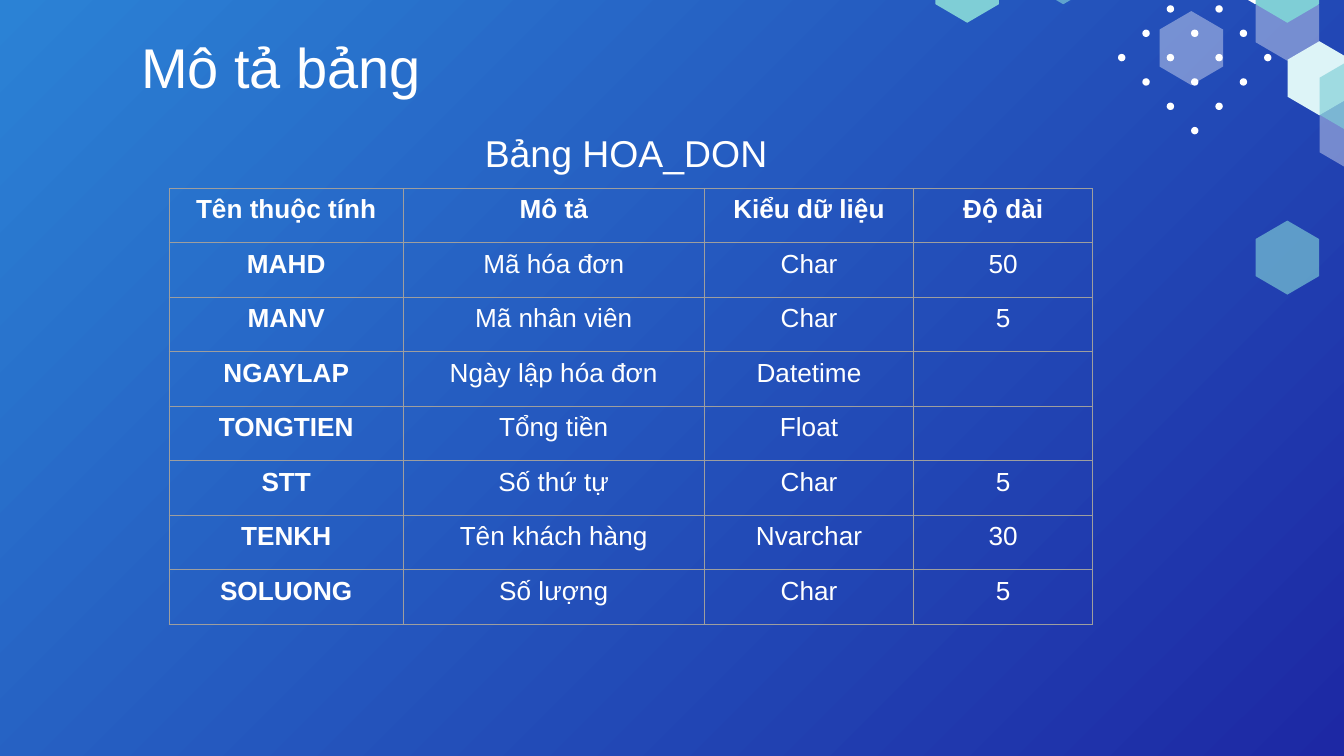
from lxml import etree
from pptx import Presentation
from pptx.dml.color import RGBColor
from pptx.enum.shapes import MSO_SHAPE
from pptx.enum.text import MSO_ANCHOR, PP_ALIGN
from pptx.oxml import parse_xml
from pptx.oxml.ns import nsdecls, qn
from pptx.util import Cm, Pt

CENTER = PP_ALIGN.CENTER
BOTTOM = MSO_ANCHOR.BOTTOM
OVAL = MSO_SHAPE.OVAL

WHITE = RGBColor(0xFF, 0xFF, 0xFF)
SKY = RGBColor(0x2B, 0x82, 0xD5)
NAVY = RGBColor(0x1D, 0x28, 0xA4)
TEAL = RGBColor(0x7F, 0xCE, 0xD6)
MIST = RGBColor(0xDD, 0xF4, 0xF7)
GREY = RGBColor(0x9E, 0x9E, 0x9E)


def write(para, text, size, bold=False):
    para.alignment = CENTER
    span = para.add_run()
    span.text = text
    span.font.color.rgb = WHITE
    for name, value in {"name": "Arial", "size": Pt(size), "bold": bold}.items():
        setattr(span.font, name, value)


def paint(shape, color, opacity=100):
    shape.shadow.inherit = False
    shape.fill.solid()
    shape.fill.fore_color.rgb = color
    shape.line.fill.background()
    if opacity < 100:
        fill_color = shape.fill._xPr.find(qn("a:solidFill"))[0]
        etree.SubElement(fill_color, qn("a:alpha"), val=str(opacity * 1000))


deck = Presentation()
deck.slide_width, deck.slide_height = Cm(25.4), Cm(14.29)
page = deck.slides.add_slide(deck.slide_layouts[6])

# Background
backdrop = page.background.fill
backdrop.gradient()
backdrop.gradient_angle = 315
for stop, color in zip(backdrop.gradient_stops, (SKY, NAVY)):
    stop.color.rgb = color

# Diamond of dots
DOT, DOT_STEP = 0.14, 0.46
for row, count in enumerate((2, 3, 4, 3, 2, 1)):
    for place in range(count):
        x = 22.58 + DOT_STEP * (2 * place - count + 1)
        y = 0.17 + DOT_STEP * row
        dot = page.shapes.add_shape(
            OVAL, Cm(x - DOT / 2), Cm(y - DOT / 2), Cm(DOT), Cm(DOT))
        paint(dot, WHITE)

# Hexagons: half-width columns from the leftmost one, top, colour, opacity
HALF, QUARTER = 0.6, 0.35
HEXAGONS = [
    (10, -0.25, WHITE, 38),
    (9, -1.32, WHITE, 100),
    (3, -1.32, TEAL, 65),
    (11, 0.78, MIST, 100),
    (12, 1.83, WHITE, 38),
    (7, 0.21, WHITE, 38),
    (10, -0.97, TEAL, 100),
    (0, -0.97, TEAL, 100),
    (12, 1.12, TEAL, 65),
    (10, 4.17, TEAL, 65),
]
CORNERS = [(1, 0), (2, 1), (2, 3), (1, 4), (0, 3), (0, 1)]
for column, top, color, opacity in HEXAGONS:
    left = 17.68 + 0.605 * column
    points = [(Cm(left + HALF * x), Cm(top + QUARTER * y)) for x, y in CORNERS]
    builder = page.shapes.build_freeform(*points[0])
    builder.add_line_segments(points[1:])
    paint(builder.convert_to_shape(), color, opacity)

# Title and table caption
for text, size, area in [
    ("Mô tả bảng", 30, (1.24, 0.56, 8.15, 1.57)),
    ("Bảng HOA_DON", 20, (4.47, 1.98, 14.73, 1.57)),
]:
    box = page.shapes.add_textbox(*map(Cm, area))
    frame = box.text_frame
    inset = Cm(0.25)
    for name, value in {
        "word_wrap": True, "vertical_anchor": BOTTOM,
        "margin_left": inset, "margin_right": inset,
        "margin_top": inset, "margin_bottom": inset,
    }.items():
        setattr(frame, name, value)
    write(frame.paragraphs[0], text, size)

# Table of attributes
ROWS = [
    ("Tên thuộc tính", "Mô tả", "Kiểu dữ liệu", "Độ dài"),
    ("MAHD", "Mã hóa đơn", "Char", "50"),
    ("MANV", "Mã nhân viên", "Char", "5"),
    ("NGAYLAP", "Ngày lập hóa đơn", "Datetime", ""),
    ("TONGTIEN", "Tổng tiền", "Float", ""),
    ("STT", "Số thứ tự", "Char", "5"),
    ("TENKH", "Tên khách hàng", "Nvarchar", "30"),
    ("SOLUONG", "Số lượng", "Char", "5"),
]
WIDTHS = (4.42, 5.69, 3.96, 3.38)
ROW_HEIGHT = 1.03
table = page.shapes.add_table(
    len(ROWS), len(WIDTHS), Cm(3.2), Cm(3.56),
    Cm(sum(WIDTHS)), Cm(ROW_HEIGHT * len(ROWS))).table
for column, width in zip(table.columns, WIDTHS):
    column.width = Cm(width)
for r, values in enumerate(ROWS):
    table.rows[r].height = Cm(ROW_HEIGHT)
    for c, text in enumerate(values):
        cell = table.cell(r, c)
        cell.fill.background()
        for place, side in enumerate(("lnL", "lnR", "lnT", "lnB")):
            border = parse_xml(
                f'<a:{side} {nsdecls("a")} w="{Pt(0.75)}"><a:solidFill>'
                f'<a:srgbClr val="{GREY}"/></a:solidFill></a:{side}>')
            cell._tc.get_or_add_tcPr().insert(place, border)
        if text:
            write(cell.text_frame.paragraphs[0], text, 14, r == 0 or c == 0)

deck.save("out.pptx")
